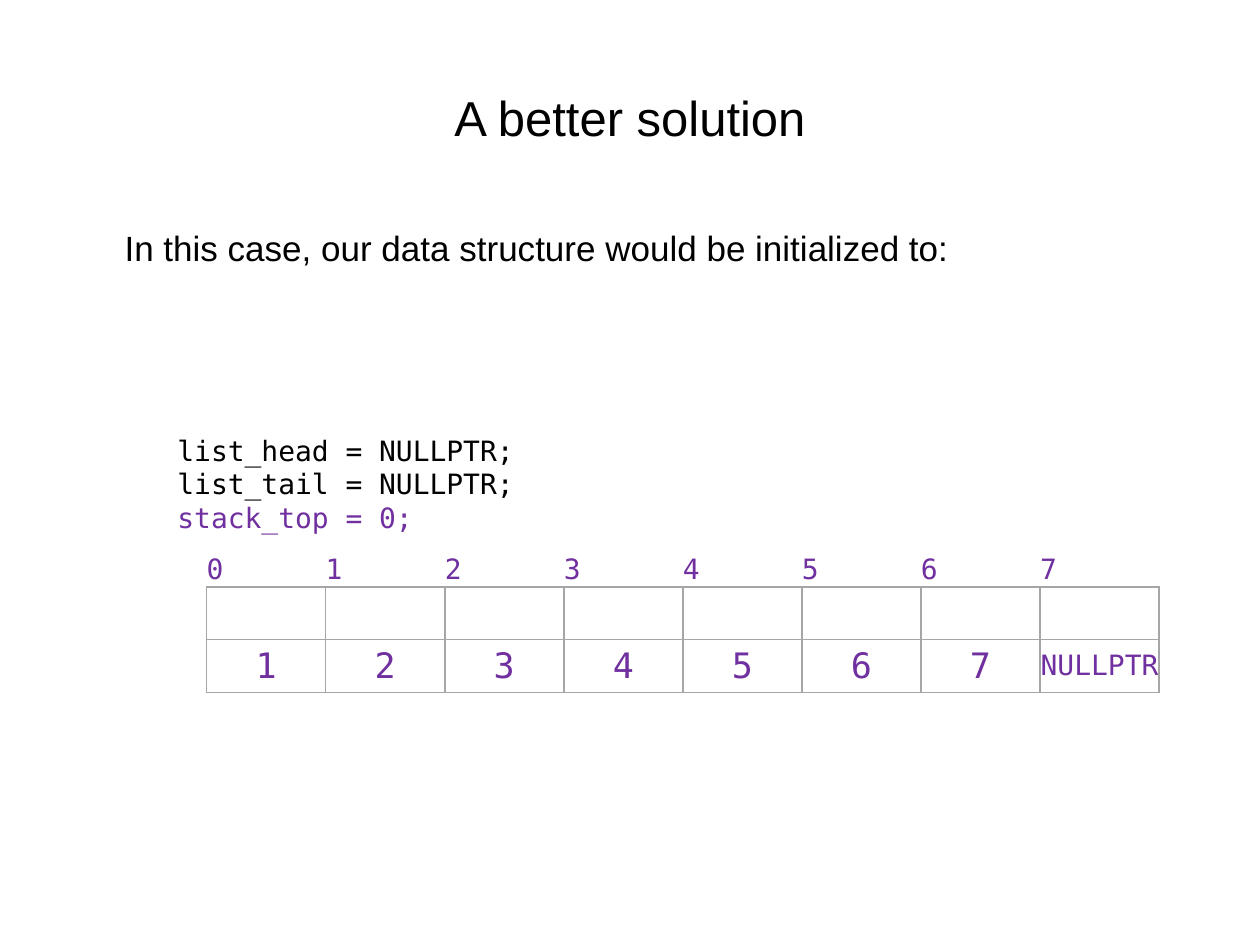
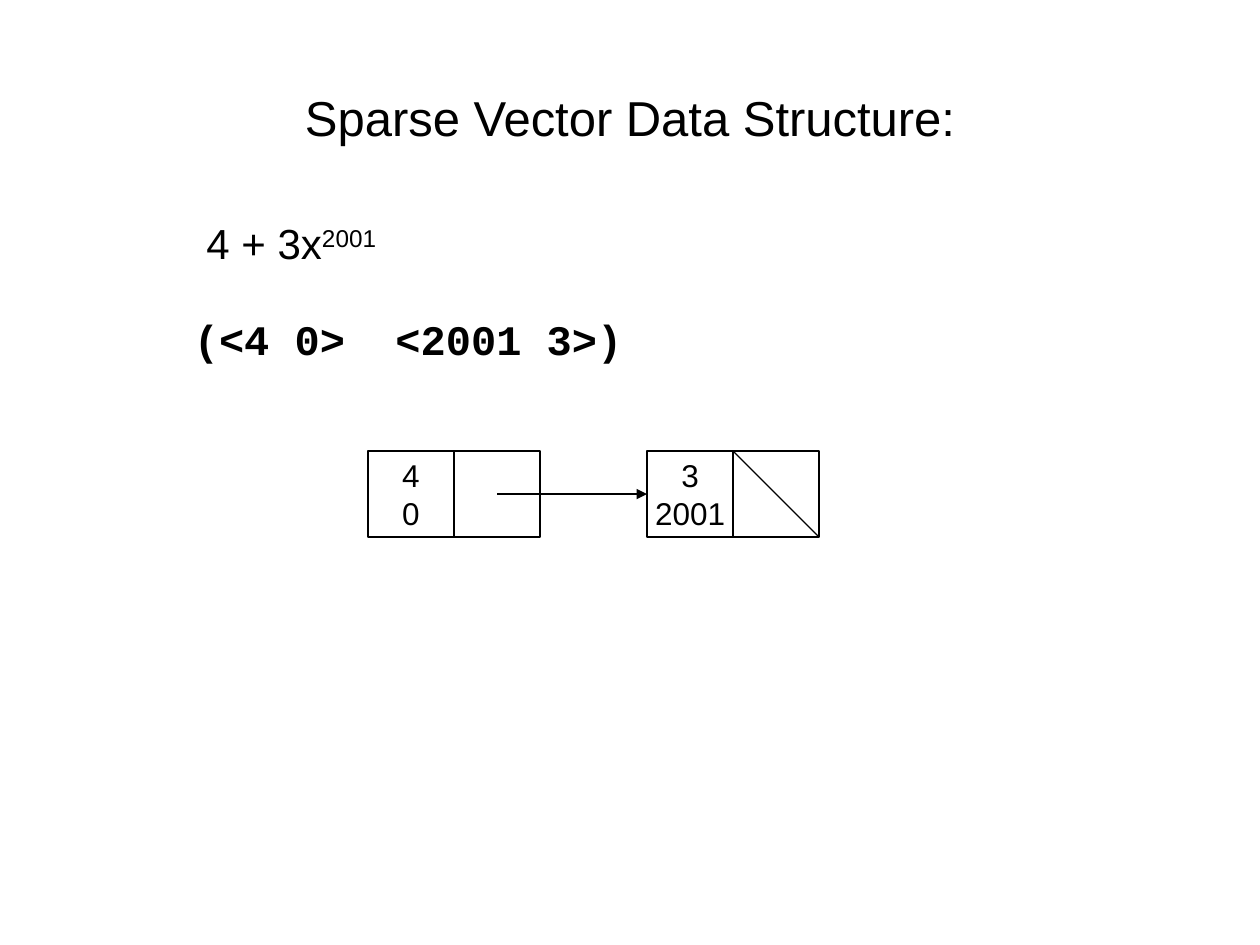
import pptx
import pptx.dml.color
import pptx.enum.shapes
import pptx.enum.text
import pptx.oxml
import pptx.oxml.ns
import pptx.util

WIDTH, HEIGHT = pptx.util.Inches(10), pptx.util.Inches(7.5)
COL, ROW = WIDTH / 100, HEIGHT / 75
BLACK, PURPLE, GREY = "000000", "7030A0", "A6A6A6"
CELL, TOP = 6.83, 35.8
SLOTS = 8

ALIGN = pptx.enum.text.PP_ALIGN
MIDDLE = pptx.enum.text.MSO_ANCHOR.MIDDLE
TITLE = {"name": "Arial", "size": 28}
BODY = {"name": "Arial", "size": 20}
CODE = {"name": "DejaVu Sans Mono", "size": 16}
LABEL = {"name": "Arial", "size": 18}
MATH = {"name": "Arial", "size": 24}
TUPLE = {"name": "Courier New", "size": 24, "bold": True}


def paint(code):
    return pptx.dml.color.RGBColor.from_string(code)


def place(x, y, w, h):
    return [round(n) for n in (x * COL, y * ROW, w * COL, h * ROW)]


def style(font, form, color=BLACK):
    for key, value in form.items():
        setattr(font, key, pptx.util.Pt(value) if key == "size" else value)
    font.color.rgb = paint(color)


def write(frame, lines, form, align=ALIGN.LEFT, colors=None):
    for i, line in enumerate(lines):
        para = frame.paragraphs[0] if i == 0 else frame.add_paragraph()
        para.alignment = align
        run = para.add_run()
        run.text = line
        style(run.font, form, colors[i] if colors else BLACK)


def text(slide, spot, lines, form, wrap=True, **more):
    frame = slide.shapes.add_textbox(*place(*spot)).text_frame
    frame.word_wrap = wrap
    write(frame, lines, form, **more)
    return frame


def page(deck, title):
    slide = deck.slides.add_slide(deck.slide_layouts[6])
    frame = text(slide, (5, 3, 90, 12.5), [title], TITLE, align=ALIGN.CENTER)
    frame.vertical_anchor = MIDDLE
    return slide


def edge(cell, sides):
    props = cell._tc.get_or_add_tcPr()
    space = pptx.oxml.ns.nsdecls("a")
    for side in "LRTB":
        ink = f'<a:solidFill><a:srgbClr val="{GREY}"/></a:solidFill>'
        fill = ink if side in sides else "<a:noFill/>"
        props.append(pptx.oxml.parse_xml(
            f'<a:ln{side} {space} w="12700">{fill}</a:ln{side}>'))
    cell.fill.background()


def stack(slide, spot, rows, tall):
    grid = slide.shapes.add_table(len(rows), SLOTS, *place(*spot)).table
    grid.first_row = grid.horz_banding = False
    for r, row in enumerate(rows):
        grid.rows[r].height = round(tall[r] * ROW)
        for c, word in enumerate(row):
            cell = grid.cell(r, c)
            for side in ("left", "right", "top", "bottom"):
                setattr(cell, f"margin_{side}", 0)
            cell.vertical_anchor = MIDDLE
            edge(cell, "LRTB" if r else "B")
            if word:
                size = 20 if r and word.isdigit() else 16
                align = ALIGN.CENTER if r else ALIGN.LEFT
                write(cell.text_frame, [word], {**CODE, "size": size},
                      align, [PURPLE])


def node(slide, x, lines):
    kind = pptx.enum.shapes.MSO_SHAPE.RECTANGLE
    for i, words in enumerate((lines, [])):
        box = slide.shapes.add_shape(kind, *place(x + i * CELL, TOP, CELL, CELL))
        box.shadow.inherit = False
        box.fill.background()
        box.line.color.rgb = paint(BLACK)
        box.line.width = pptx.util.Pt(0.75)
        box.text_frame.word_wrap = False
        box.text_frame.vertical_anchor = MIDDLE
        write(box.text_frame, words, LABEL, ALIGN.CENTER)


def line(slide, start, end, arrow=False):
    kind = pptx.enum.shapes.MSO_CONNECTOR.STRAIGHT
    link = slide.shapes.add_connector(kind, *place(*start, *end))
    link.line.color.rgb = paint(BLACK)
    link.line.width = pptx.util.Pt(0.75)
    space = pptx.oxml.ns.nsdecls("a")
    if arrow:
        link.line._get_or_add_ln().append(
            pptx.oxml.parse_xml(f'<a:tailEnd {space} type="triangle"/>'))
    link._element.spPr.append(pptx.oxml.parse_xml(f"<a:effectLst {space}/>"))


def better(deck):
    slide = page(deck, "A better solution")
    text(slide, (8.9, 17.5, 86.1, 5),
         ["In this case, our data structure would be initialized to:"], BODY)
    index = [str(n) for n in range(SLOTS)]
    links = index[1:] + ["NULLPTR"]
    stack(slide, (16.4, 43.9, 75.6, 11),
          [index, [""] * SLOTS, links], (2.6, 4.2, 4.2))
    text(slide, (13.1, 33.9, 29.9, 9.1),
         ["list_head = NULLPTR;", "list_tail = NULLPTR;", "stack_top = 0;"],
         CODE, colors=[BLACK, BLACK, PURPLE])


def sparse(deck):
    slide = page(deck, "Sparse Vector Data Structure:")
    first, last = 29.2, 51.35
    node(slide, first, ["4", "0"])
    node(slide, last, ["3", "2001"])
    half = TOP + CELL / 2
    line(slide, (first + 1.5 * CELL, half), (last, half), True)
    line(slide, (last + CELL, TOP), (last + 2 * CELL, TOP + CELL))
    text(slide, (14.4, 24.4, 36.3, 5), ["(<4 0>  <2001 3>)"], TUPLE, False)
    frame = text(slide, (15.4, 16.8, 16.3, 5), ["4 + 3x"], MATH, False)
    power = frame.paragraphs[0].add_run()
    power.text = "2001"
    style(power.font, MATH)
    power.font._element.set("baseline", "30000")


def main():
    deck = pptx.Presentation()
    deck.slide_width, deck.slide_height = WIDTH, HEIGHT
    better(deck)
    sparse(deck)
    deck.save("out.pptx")


if __name__ == "__main__":
    main()
